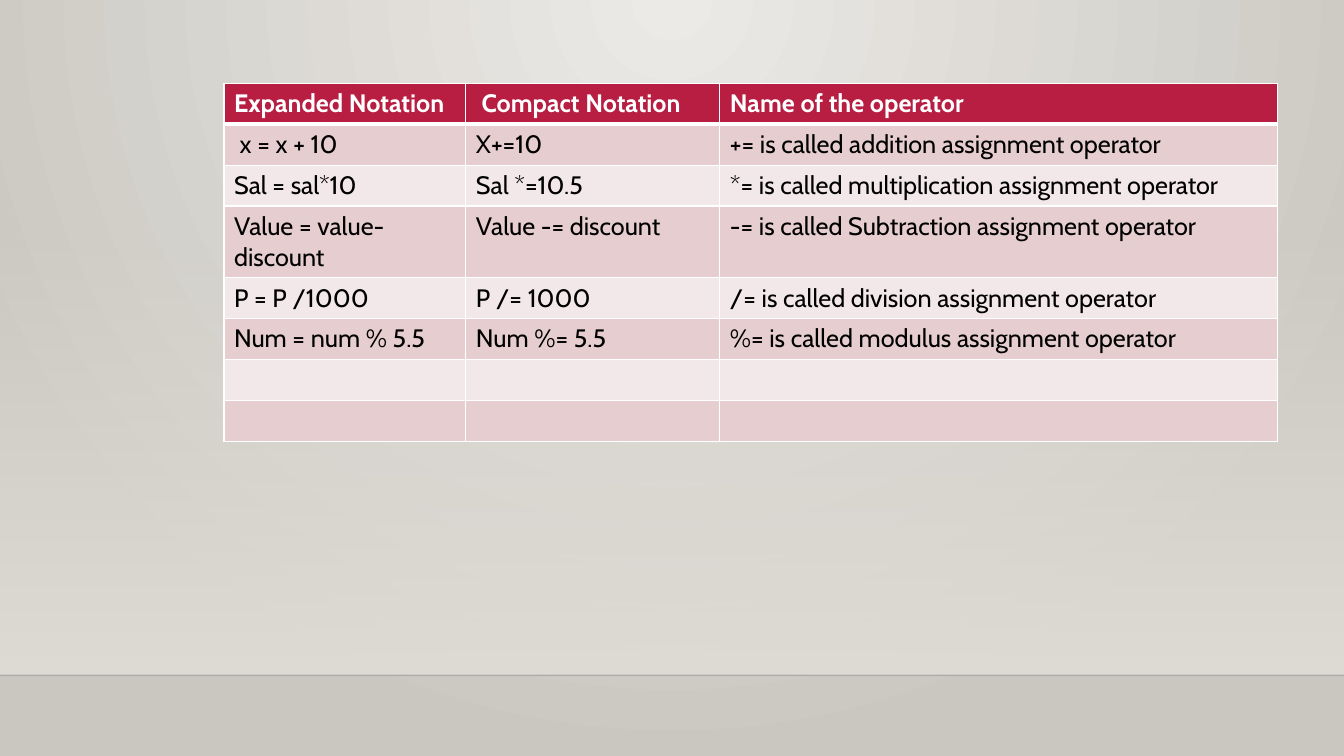
from lxml.etree import SubElement
from pptx import Presentation
from pptx.dml.color import RGBColor
from pptx.enum.shapes import MSO_CONNECTOR as Connector, MSO_SHAPE as Shape
from pptx.oxml.ns import qn
from pptx.util import Pt

WHITE = RGBColor(0xFF, 0xFF, 0xFF)
BLACK = RGBColor(0x00, 0x00, 0x00)
CRIMSON = RGBColor(0xB7, 0x1E, 0x42)
ROSE = RGBColor(0xE6, 0xCD, 0xCF)
PALE_ROSE = RGBColor(0xF3, 0xE8, 0xE9)
GLOW = RGBColor(0xEC, 0xEA, 0xE7)
STONE = RGBColor(0xCA, 0xC7, 0xC1)
SAND = RGBColor(0xDF, 0xDB, 0xD5)
HORIZON = RGBColor(0x00, 0x00, 0x01)

WIDTH, HEIGHT = 960, 540
FONT = "Cabin"
COLUMN_WIDTHS = [172.8, 181.44, 398.16]
ROW_HEIGHT = 29.2
OPERATORS = [
    ["Expanded Notation", " Compact Notation", "Name of the operator"],
    [" x = x + 10", "X+=10", "+= is called addition assignment operator"],
    ["Sal = sal*10", "Sal *=10.5", "*= is called multiplication assignment operator"],
    ["Value = value-discount", "Value -= discount", "-= is called Subtraction assignment operator"],
    ["P = P /1000", "P /= 1000", "/= is called division assignment operator"],
    ["Num = num % 5.5", "Num %= 5.5", "%= is called modulus assignment operator"],
    ["", "", ""],
    ["", "", ""],
]


def set_stops(fill, *colors):
    fill.gradient()
    for stop, color in zip(fill.gradient_stops, colors):
        stop.color.rgb = color


def set_alpha(element, percent):
    color = next(element.iter(qn("a:srgbClr")))
    SubElement(color, qn("a:alpha"), val=str(percent * 1000))


def paint_background(slide):
    set_stops(slide.background.fill, GLOW, STONE)
    gradient = next(slide.element.iter(qn("a:gradFill")))
    gradient.remove(gradient.find(qn("a:lin")))
    radial = SubElement(gradient, qn("a:path"), {"path": "circle"})
    SubElement(radial, qn("a:fillToRect"), l="43000", t="0", r="43000", b="100000")


def add_wall(slide, left, top, width, height):
    wall = slide.shapes.add_shape(Shape.RECTANGLE, Pt(left), Pt(top), Pt(width), Pt(height))
    wall.shadow.inherit = False
    wall.line.fill.background()
    set_stops(wall.fill, SAND, SAND)
    wall.fill.gradient_angle = 270
    set_alpha(wall.element.spPr, 0)

    bottom = Pt(top + height)
    horizon = slide.shapes.add_connector(
        Connector.STRAIGHT, Pt(left), bottom, Pt(left + width), bottom)
    horizon.line.color.rgb = HORIZON
    horizon.line.width = Pt(1)
    set_alpha(horizon.element.spPr, 20)
    SubElement(horizon.element.spPr, qn("a:effectLst"))


def set_borders(cell, bottom_width, top_width):
    properties = cell._tc.get_or_add_tcPr()
    widths = {"a:lnL": 1, "a:lnR": 1, "a:lnT": top_width, "a:lnB": bottom_width}
    for position, (side, width) in enumerate(widths.items()):
        border = properties.makeelement(qn(side), {"w": str(Pt(width))})
        solid = SubElement(border, qn("a:solidFill"))
        SubElement(solid, qn("a:srgbClr"), val=str(WHITE))
        properties.insert(position, border)


def add_operator_table(slide, left, top):
    frame = slide.shapes.add_table(
        len(OPERATORS), len(COLUMN_WIDTHS), Pt(left), Pt(top),
        Pt(sum(COLUMN_WIDTHS)), Pt(ROW_HEIGHT * len(OPERATORS)))
    table = frame.table
    for column, width in zip(table.columns, COLUMN_WIDTHS):
        column.width = Pt(width)
    for index, (row, texts) in enumerate(zip(table.rows, OPERATORS)):
        row.height = Pt(ROW_HEIGHT)
        header = index == 0
        band = CRIMSON if header else ROSE if index % 2 else PALE_ROSE
        for cell, text in zip(row.cells, texts):
            cell.text = text
            cell.fill.solid()
            cell.fill.fore_color.rgb = band
            set_borders(cell, 3 if header else 1, 3 if index == 1 else 1)
            font = cell.text_frame.paragraphs[0].font
            font.name = FONT
            font.size = Pt(18)
            font.bold = header
            font.color.rgb = WHITE if header else BLACK


def main():
    deck = Presentation()
    deck.slide_width, deck.slide_height = Pt(WIDTH), Pt(HEIGHT)
    slide = deck.slides.add_slide(deck.slide_layouts[6])
    paint_background(slide)
    add_wall(slide, 0, 159, WIDTH, 323.4)
    add_operator_table(slide, 160, 59.6)
    deck.save("out.pptx")


if __name__ == "__main__":
    main()
